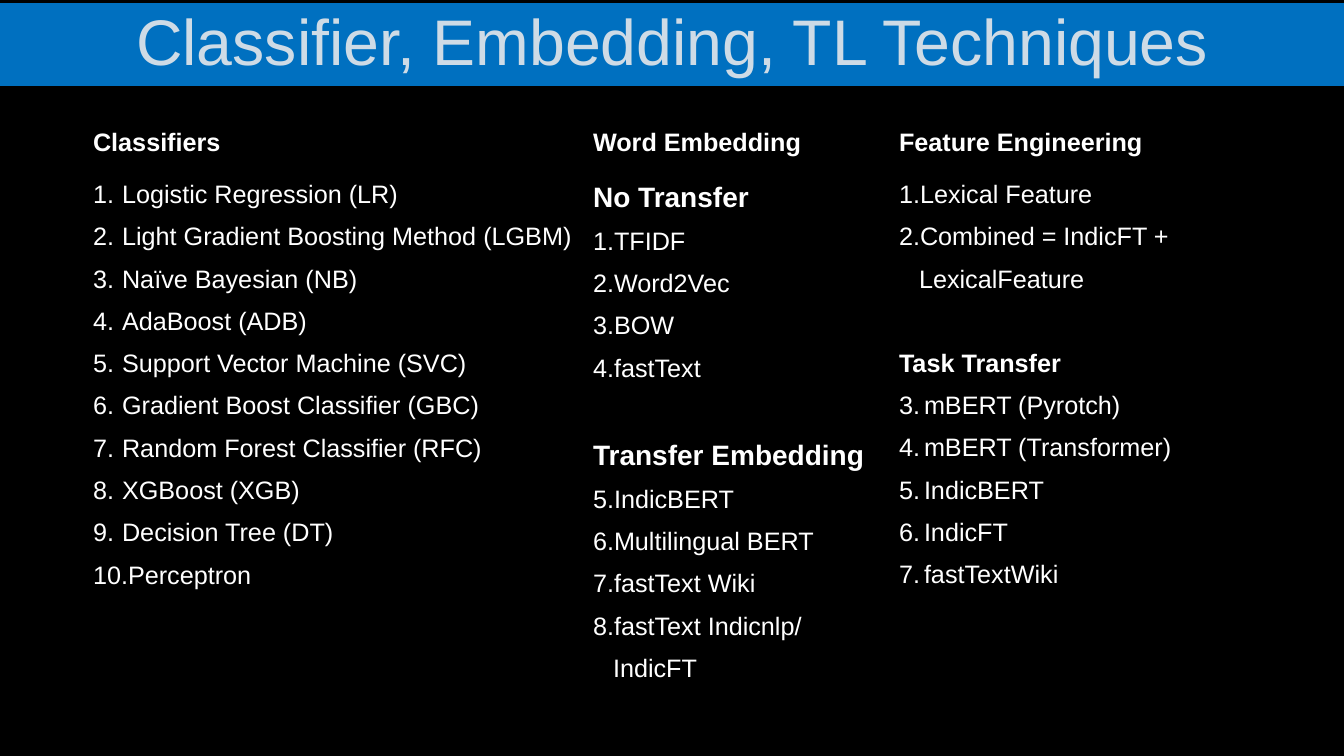
"""Build the slide listing classifiers, embeddings and transfer techniques."""
from lxml import etree
from pptx import Presentation
from pptx import util as u
from pptx.dml.color import RGBColor
from pptx.enum import shapes, text
from pptx.oxml.ns import qn

PX = 914400 / 100.8
BLACK = RGBColor(0x00, 0x00, 0x00)
WHITE = RGBColor(0xFF, 0xFF, 0xFF)
BLUE = RGBColor(0x00, 0x70, 0xC0)
PALE = RGBColor(0xCE, 0xDB, 0xE6)
NO_GRID_STYLE = "{2D5ABB26-0587-4C30-8999-92F81FD0307C}"


def px(length):
    return u.Emu(round(length * PX))


def style(para, size, color, bold=False):
    for span in para.runs:
        span.font.name = "Arial"
        span.font.size = u.Pt(size)
        span.font.bold = bold
        span.font.color.rgb = color


deck = Presentation()
deck.slide_width, deck.slide_height = px(1344), px(756)
page = deck.slides.add_slide(deck.slide_layouts[6])
page.background.fill.solid()
page.background.fill.fore_color.rgb = BLACK

banner = page.shapes.add_shape(shapes.MSO_SHAPE.RECTANGLE, 0, px(3), px(1344), px(83))
banner.shadow.inherit = False
banner.fill.solid()
banner.fill.fore_color.rgb = BLUE
banner.line.fill.background()
banner.text_frame.word_wrap = True
banner.text_frame.vertical_anchor = text.MSO_ANCHOR.MIDDLE
title = banner.text_frame.paragraphs[0]
title.text = "Classifier, Embedding, TL Techniques"
title.alignment = text.PP_ALIGN.CENTER
title.line_spacing = 0.9
style(title, 46, PALE)

# Each column: header, width, then groups of (subheading, size, indent, items).
columns = [
    ("Classifiers", 500, [
        (None, 18, 29, [
            "Logistic Regression (LR)", "Light Gradient Boosting Method (LGBM)",
            "Naïve Bayesian (NB)", "AdaBoost (ADB)", "Support Vector Machine (SVC)",
            "Gradient Boost Classifier (GBC)", "Random Forest Classifier (RFC)",
            "XGBoost (XGB)", "Decision Tree (DT)", "Perceptron"]),
    ]),
    ("Word Embedding", 306, [
        ("No Transfer", 20, 20, ["TFIDF", "Word2Vec", "BOW", "fastText"]),
        ("Transfer Embedding", 20, 20, [
            "IndicBERT", "Multilingual BERT", "fastText Wiki", "fastText Indicnlp/ IndicFT"]),
    ]),
    ("Feature Engineering", 370, [
        (None, 18, 20, ["Lexical Feature", "Combined = IndicFT + LexicalFeature"]),
        ("Task Transfer", 18, 25, [
            "mBERT (Pyrotch)", "mBERT (Transformer)", "IndicBERT", "IndicFT", "fastTextWiki"]),
    ]),
]

table = page.shapes.add_table(2, len(columns), px(83), px(109), px(1176), px(432)).table
table.first_row = table.horz_banding = False
table._tbl.tblPr.find(qn("a:tableStyleId")).text = NO_GRID_STYLE
table.rows[0].height, table.rows[1].height = px(38), px(394)

for index, (header, width, groups) in enumerate(columns):
    table.columns[index].width = px(width)
    lines = []
    number = 0
    for heading, size, indent, items in groups:
        if heading:
            lines.append((heading, size, 0, 0))
        for item in items:
            number += 1
            lines.append((item, 18, indent, number))

    for row, content in enumerate([[(header, 18, 0, 0)], lines]):
        cell = table.cell(row, index)
        cell.fill.background()
        cell.text_frame.text = "\n".join(line[0] for line in content)
        for order, para in enumerate(cell.text_frame.paragraphs):
            wording, size, indent, number = content[order]
            para.line_spacing = 1.5
            if number:
                props = para._p.get_or_add_pPr()
                props.set("marL", str(px(indent)))
                props.set("indent", str(-px(indent)))
                bullet = etree.SubElement(props, qn("a:buAutoNum"), type="arabicPeriod")
                bullet.set("startAt", str(number - (number - 1 if order < number else 0)))
                first = next(line[3] for line in content[order::-1]
                             if line[3] == 1 or content[content.index(line) - 1][3] == 0)
                bullet.set("startAt", str(first))
            elif order:
                para.space_before = u.Pt(30)
            style(para, size, WHITE, bold=not number)

deck.save("out.pptx")
